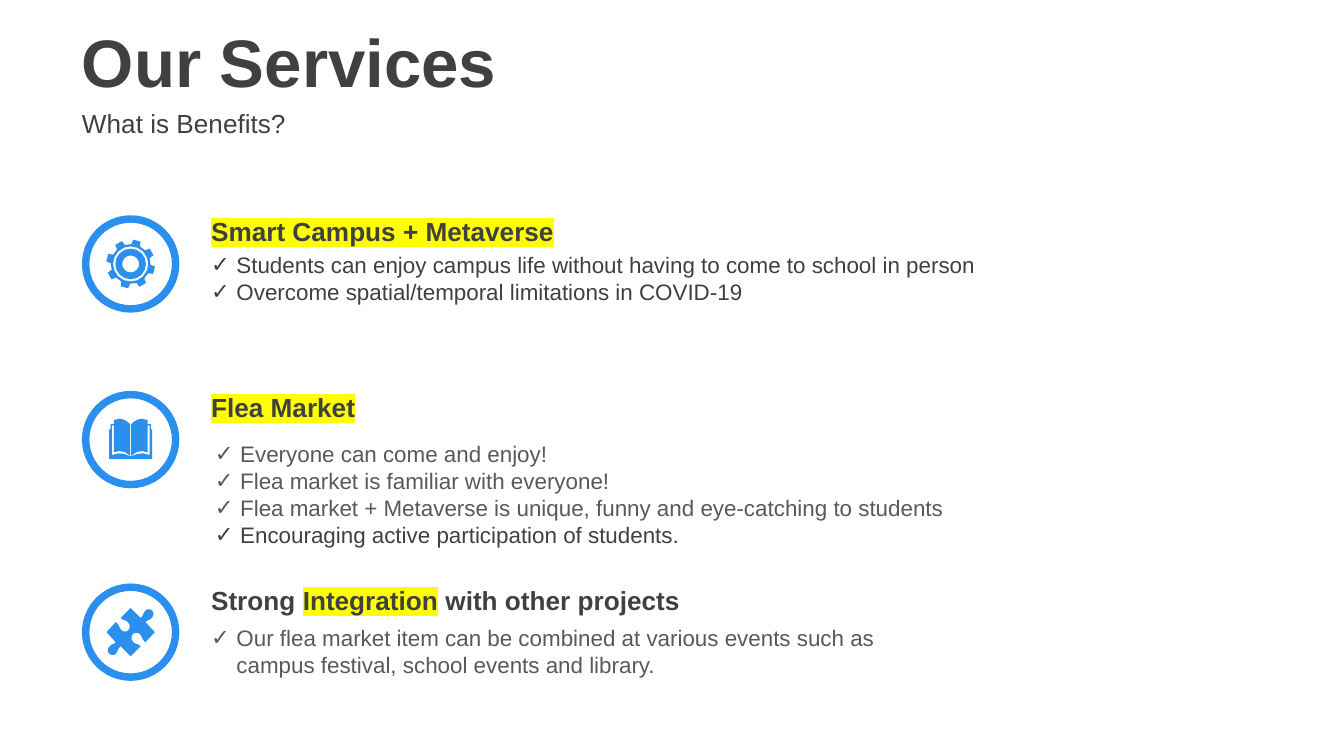
from dataclasses import dataclass
from math import cos, radians, sin

from lxml import etree
from pptx import Presentation
from pptx import util as u
from pptx.dml.color import RGBColor
from pptx.enum import shapes, text
from pptx.oxml.ns import qn

HUES = {"blue": "2B8FED", "dark": "404040", "gray": "595959", "mark": "FFFF00",
        "white": "FFFFFF"}
FACE = "Arial"
GRID = u.Cm(2.54) / 10000
LEFT, SIZE = 1.62, 1.70
HANG = u.Cm(0.48)

Point = tuple[float, float]


@dataclass
class Line:
    words: str
    hue: str = "gray"
    tick: bool = True


@dataclass
class Part:
    top: float
    head: list[tuple[str, bool]]
    head_top: float
    list_left: float
    list_top: float
    list_high: float
    lines: list[Line]
    icon: list[list[Point]]


def color(hue: str) -> RGBColor:
    return RGBColor.from_string(HUES[hue])


def trace(start: Point, steps: list[tuple]) -> list[Point]:
    pts = [start]
    for step in steps:
        if len(step) == 2:
            pts.append(step)
            continue
        a, b, c, d = pts[-1], step[:2], step[2:4], step[4:]
        for k in range(1, 4):
            t = k / 3
            s = 1 - t
            pts.append(tuple(
                s**3 * a[i] + 3 * s * s * t * b[i] + 3 * s * t * t * c[i] + t**3 * d[i]
                for i in (0, 1)))
    return pts


def polar(r: float, deg: float) -> Point:
    return r * cos(radians(deg)), r * sin(radians(deg))


def gear() -> list[list[Point]]:
    rim = [polar(r, 45 * k - 75 + turn) for k in range(8)
           for r, turn in ((14.8, -13), (18.2, -9), (18.2, 9), (14.8, 13))]
    rings = [[polar(r, 22.5 * k) for k in range(16)] for r in (13.1, 11.4, 6.3)]
    return [rim] + rings


def book() -> list[list[Point]]:
    page = trace((0, 12.5), [
        (5.5, 10, 8.5, 9.5, 14, 11.5), (14, -10.5), (12.5, -10.5), (12.5, 9.5),
        (8.5, 7.5, 4, 8.5, 0.4, 12), (0.4, -11.5),
        (3, -14, 5.5, -15.5, 8.5, -15.5), (12.5, -14.5),
        (12.5, -11.5), (15, -11.5), (15, -7.5), (16, -7.5), (16, 14.5), (0, 14.5)])
    return [page, [(-x, y) for x, y in page]]


def puzzle() -> list[list[Point]]:
    half = trace((16, -16), [
        (17.5, -14.5, 17.5, -12.5, 16, -11), (14.5, -8.5, 12.5, -9.5, 11, -7.5),
        (18, 0), (11, 7.5), (8, 5.5, 9, 3.5, 7, 1.5), (5.5, 0, 3, 0, 1.5, 1.5),
        (0.5, 3, 0, 5.5, 2, 7.5), (4, 9.5, 5, 8, 7.5, 10.5), (0, 18), (-7.5, 10.5),
        (-10, 12.5, -9, 14, -11, 16), (-12, 17.5, -14.5, 17.5, -16, 16)])
    return [half + [(-x, -y) for x, y in half[1:]]]


def outline(slide, left: float, top: float, paths: list[list[Point]], hue: str):
    pen = None
    for path in paths:
        pts = [(100 * x, 100 * y) for x, y in path]
        if pen is None:
            pen = slide.shapes.build_freeform(*pts[0], scale=GRID)
        else:
            pen.move_to(*pts[0])
        pen.add_line_segments(pts[1:], close=True)
    form = pen.convert_to_shape(u.Cm(left), u.Cm(top))
    form.shadow.inherit = False
    form.fill.solid()
    form.fill.fore_color.rgb = color(hue)
    form.line.fill.background()
    return form


def veil(slide) -> None:
    form = outline(slide, 0, 0, [[(0, 0), (632, 0), (862, 562.5), (0, 562.5)]], "white")
    tint = form.fill._xPr.find(".//" + qn("a:srgbClr"))
    etree.SubElement(tint, qn("a:alpha"), val="86000")


def draw(slide, top: float, icon: list[list[Point]]) -> None:
    ring = slide.shapes.add_shape(
        shapes.MSO_SHAPE.OVAL, u.Cm(LEFT), u.Cm(top), u.Cm(SIZE), u.Cm(SIZE))
    ring.shadow.inherit = False
    ring.fill.background()
    ring.line.color.rgb = color("blue")
    ring.line.width = u.Pt(4)
    outline(slide, LEFT + SIZE / 2, top + SIZE / 2, icon, "blue")


def frame(slide, left: float, top: float, wide: float, high: float):
    box = slide.shapes.add_textbox(u.Cm(left), u.Cm(top), u.Cm(wide), u.Cm(high))
    body = box.text_frame
    body.word_wrap = True
    body.vertical_anchor = text.MSO_ANCHOR.MIDDLE
    return body


def style(para, size: int, hue: str = "dark", bold: bool = False) -> None:
    font = para.font
    font.name, font.size, font.bold = FACE, u.Pt(size), bold
    font.color.rgb = color(hue)


def mark(run) -> None:
    tag = etree.SubElement(run._r.get_or_add_rPr(), qn("a:highlight"))
    etree.SubElement(tag, qn("a:srgbClr"), val=HUES["mark"])


def label(slide, top: float, high: float, words: str, size: int, bold: bool) -> None:
    para = frame(slide, 1.30, top, 24.10, high).paragraphs[0]
    para.text = words
    style(para, size, bold=bold)


def write(slide, part: Part) -> None:
    body = frame(slide, part.list_left, part.list_top, 17.17, part.list_high)
    for i, line in enumerate(part.lines):
        para = body.add_paragraph() if i else body.paragraphs[0]
        para.text = line.words
        prop = para._p.get_or_add_pPr()
        prop.set("marL", str(HANG))
        prop.set("indent", str(-HANG if line.tick else 0))
        if line.tick:
            etree.SubElement(prop, qn("a:buFont"), typeface=FACE)
            etree.SubElement(prop, qn("a:buChar"), char="✓")
        style(para, 12, line.hue)

    para = frame(slide, 3.74, part.head_top, 17.17, 0.86).paragraphs[0]
    for words, lit in part.head:
        run = para.add_run()
        run.text = words
        if lit:
            mark(run)
    style(para, 14, bold=True)


PARTS = [
    Part(4.14, [("Smart Campus + Metaverse", True)], 3.94, 3.74, 4.62, 1.28, [
        Line("Students can enjoy campus life without having to come to school in person", "dark"),
        Line("Overcome spatial/temporal limitations in COVID-19", "dark"),
    ], gear()),
    Part(7.46, [("Flea Market", True)], 7.26, 3.81, 8.15, 2.39, [
        Line("Everyone can come and enjoy!"),
        Line("Flea market is familiar with everyone!"),
        Line("Flea market + Metaverse is unique, funny and eye-catching to students"),
        Line("Encouraging active participation of students.", "dark"),
    ], book()),
    Part(11.10, [("Strong ", False), ("Integration", True), (" with other projects", False)],
         10.91, 3.74, 11.68, 1.27, [
        Line("Our flea market item can be combined at various events such as"),
        Line("campus festival, school events and library.", tick=False),
    ], puzzle()),
]


def main() -> None:
    deck = Presentation()
    deck.slide_width, deck.slide_height = u.Cm(25.40), u.Cm(14.29)
    slide = deck.slides.add_slide(deck.slide_layouts[6])
    veil(slide)
    label(slide, 0.34, 1.60, "Our Services", 36, True)
    label(slide, 1.94, 0.79, "What is Benefits?", 14, False)
    for part in PARTS:
        draw(slide, part.top, part.icon)
        write(slide, part)
    deck.save("out.pptx")


if __name__ == "__main__":
    main()
